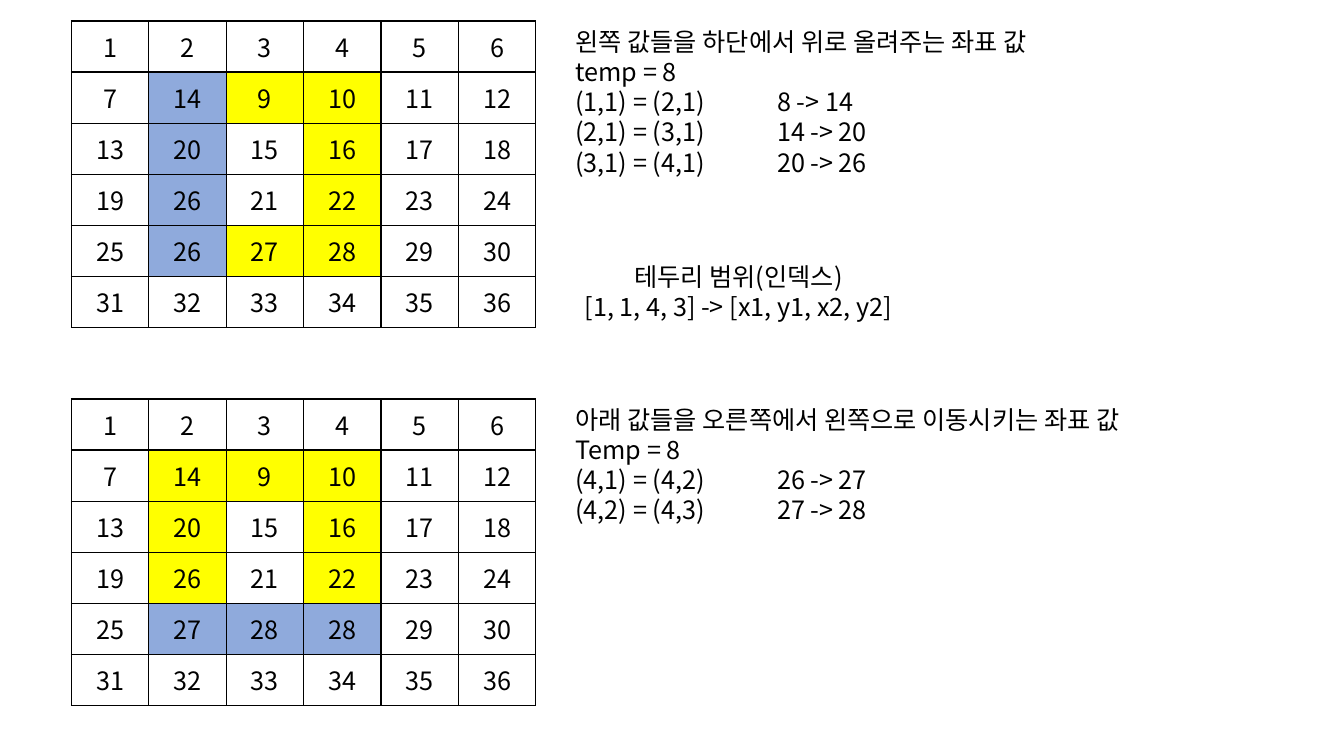
from lxml.etree import SubElement
from pptx import Presentation
from pptx.dml.color import RGBColor as Rgb
from pptx.enum.text import MSO_ANCHOR as Anchor, MSO_AUTO_SIZE as AutoSize, PP_ALIGN as Align
from pptx.oxml.ns import qn
from pptx.util import Pt

COLORS = {"text": "000000", "border": "000000", "ring": "FFFF00", "moved": "8FAADC"}
FONT = "Noto Sans CJK KR"
SIZE = 6
COLUMN_WIDTH, ROW_HEIGHT = 55.3, 36.5
GRID_LEFT, NOTE_LEFT = 51, 404
UPPER, LOWER = 15, 285


def add_run(para, text):
    span = para.add_run()
    span.text = text
    span.font.name = FONT
    span.font.size = Pt(18)
    span.font.color.rgb = Rgb.from_string(COLORS["text"])
    SubElement(span.font._element, qn("a:ea"), typeface=FONT)


def add_note(page, top, width, height, lines, align=Align.LEFT, wrap=True):
    box = page.shapes.add_textbox(Pt(NOTE_LEFT), Pt(top), Pt(width), Pt(height))
    frame = box.text_frame
    frame.word_wrap = wrap
    frame.auto_size = AutoSize.SHAPE_TO_FIT_TEXT
    for index, line in enumerate(lines):
        para = frame.paragraphs[0] if index == 0 else frame.add_paragraph()
        para.alignment = align
        para.line_spacing = Pt(21.6)
        if "\t" in line:
            tabs = SubElement(para._p.get_or_add_pPr(), qn("a:tabLst"))
            SubElement(tabs, qn("a:tab"), pos=str(Pt(144)), algn="l")
        add_run(para, line)


deck = Presentation()
deck.slide_width, deck.slide_height = Pt(960), Pt(540)
page = deck.slides.add_slide(deck.slide_layouts[6])

# Border range of the rotation: rows 1 to 4, columns 1 to 3
ring = {(row, column) for row in range(1, 5) for column in range(1, 4)
        if row in (1, 4) or column in (1, 3)}

# Each step: top of the grid, values changed so far, cells moved in this step
left_values = {(1, 1): 14, (2, 1): 20, (3, 1): 26, (4, 1): 26}
bottom_values = {(4, 1): 27, (4, 2): 28, (4, 3): 28}
steps = [
    (UPPER, left_values, left_values),
    (LOWER, {**left_values, **bottom_values}, bottom_values),
]

# Number grids
for top, values, moved in steps:
    frame = page.shapes.add_table(SIZE, SIZE, Pt(GRID_LEFT), Pt(top),
                                  Pt(SIZE * COLUMN_WIDTH), Pt(SIZE * ROW_HEIGHT))
    grid = frame.table
    grid.first_row = grid.horz_banding = False
    for index in range(SIZE):
        grid.columns[index].width = Pt(COLUMN_WIDTH)
        grid.rows[index].height = Pt(ROW_HEIGHT)
    for number in range(SIZE * SIZE):
        place = divmod(number, SIZE)
        cell = grid.cell(*place)
        cell.vertical_anchor = Anchor.MIDDLE
        para = cell.text_frame.paragraphs[0]
        para.alignment = Align.CENTER
        add_run(para, str(values.get(place, number + 1)))

        # Borders come before the fill in the cell properties
        properties = cell._tc.get_or_add_tcPr()
        for side in ("lnL", "lnR", "lnT", "lnB"):
            line = SubElement(properties, qn(f"a:{side}"), w=str(Pt(1)))
            paint = SubElement(line, qn("a:solidFill"))
            SubElement(paint, qn("a:srgbClr"), val=COLORS["border"])
        if place in ring:
            cell.fill.solid()
            cell.fill.fore_color.rgb = Rgb.from_string(COLORS["moved" if place in moved else "ring"])
        else:
            cell.fill.background()

# Explanations beside the grids
add_note(page, UPPER, 535, 116.6, [
    "왼쪽 값들을 하단에서 위로 올려주는 좌표 값",
    "temp = 8",
    "(1,1) = (2,1)\t8 -> 14",
    "(2,1) = (3,1)\t14 -> 20",
    "(3,1) = (4,1)\t20 -> 26",
])
add_note(page, 183, 247, 51, [
    "테두리 범위(인덱스)",
    "[1, 1, 4, 3] -> [x1, y1, x2, y2]",
], Align.CENTER, wrap=False)
add_note(page, LOWER, 535, 94.3, [
    "아래 값들을 오른쪽에서 왼쪽으로 이동시키는 좌표 값",
    "Temp = 8",
    "(4,1) = (4,2)\t26 -> 27",
    "(4,2) = (4,3)\t27 -> 28",
])

deck.save("out.pptx")
